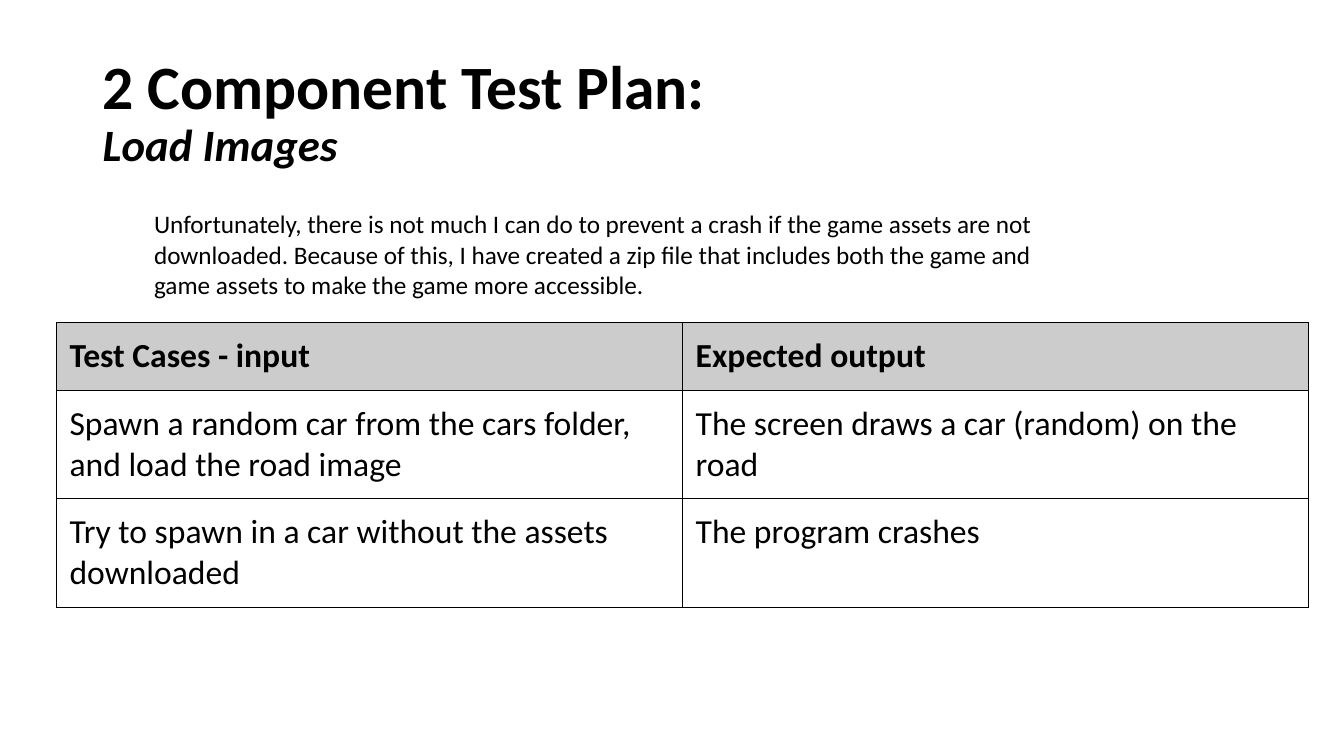
from lxml.etree import SubElement
from pptx import Presentation
from pptx.dml.color import RGBColor
from pptx.enum.text import MSO_ANCHOR as Anchor
from pptx.oxml.ns import qn
from pptx.util import Inches, Pt


def color(value):
    return RGBColor.from_string(value)


def set_values(target, values):
    for name, value in values.items():
        setattr(target, name, value)


class SlideBuilder:
    font_name = "Calibri"
    ink = "000000"
    header_fill = "CCCCCC"
    cell_margin = Inches(0.13)
    border_width = Pt(0.75)

    def __init__(self, slide):
        self.slide = slide

    def run(self, paragraph, text, size, **styles):
        run = paragraph.add_run()
        run.text = text
        set_values(run.font, {"name": self.font_name, "size": Pt(size), **styles})
        run.font.color.rgb = color(self.ink)

    def text_box(self, left, top, width, height, lines, anchor=Anchor.TOP, spacing=1.0):
        box = self.slide.shapes.add_textbox(
            Inches(left), Inches(top), Inches(width), Inches(height))
        set_values(box.text_frame, {"word_wrap": True, "vertical_anchor": anchor})
        paragraph = box.text_frame.paragraphs[0]
        paragraph.line_spacing = spacing
        for index, (text, size, styles) in enumerate(lines):
            if index:
                paragraph.add_line_break()
            self.run(paragraph, text, size, **styles)

    def border(self, cell):
        properties = cell._tc.get_or_add_tcPr()
        for side in ("a:lnL", "a:lnR", "a:lnT", "a:lnB"):
            line = SubElement(properties, qn(side), w=str(self.border_width))
            fill = SubElement(line, qn("a:solidFill"))
            SubElement(fill, qn("a:srgbClr"), val=self.ink)

    def table(self, left, top, width, row_heights, rows, size):
        frame = self.slide.shapes.add_table(
            len(rows), len(rows[0]), Inches(left), Inches(top),
            Inches(width), Inches(sum(row_heights)))
        table = frame.table
        set_values(table, {"first_row": False, "horz_banding": False})
        for row, height in zip(table.rows, row_heights):
            row.height = Inches(height)
        for row_index, texts in enumerate(rows):
            is_header = row_index == 0
            for column_index, text in enumerate(texts):
                cell = table.cell(row_index, column_index)
                margins = ("margin_left", "margin_right", "margin_top", "margin_bottom")
                set_values(cell, dict.fromkeys(margins, self.cell_margin))
                self.border(cell)
                if is_header:
                    cell.fill.solid()
                    cell.fill.fore_color.rgb = color(self.header_fill)
                else:
                    cell.fill.background()
                self.run(cell.text_frame.paragraphs[0], text, size, bold=is_header)


def main():
    presentation = Presentation()
    set_values(presentation, {"slide_width": Inches(13.33), "slide_height": Inches(7.5)})
    builder = SlideBuilder(presentation.slides.add_slide(presentation.slide_layouts[6]))

    builder.text_box(0.92, 0.4, 11.5, 1.45, [
        ("2 Component Test Plan: ", 44, {"bold": True}),
        ("Load Images", 32, {"bold": True, "italic": True}),
    ], anchor=Anchor.MIDDLE, spacing=0.9)

    builder.table(0.56, 3.2, 12.42, [0.67, 1.08, 1.08], [
        ("Test Cases - input", "Expected output"),
        ("Spawn a random car from the cars folder, and load the road image",
         "The screen draws a car (random) on the road"),
        ("Try to spawn in a car without the assets downloaded",
         "The program crashes"),
    ], size=24)

    builder.text_box(1.43, 2.02, 9.46, 1.01, [
        ("Unfortunately, there is not much I can do to prevent a crash if the game "
         "assets are not downloaded. Because of this, I have created a zip file that "
         "includes both the game and game assets to make the game more accessible.",
         18, {}),
    ])

    presentation.save("out.pptx")


if __name__ == "__main__":
    main()
